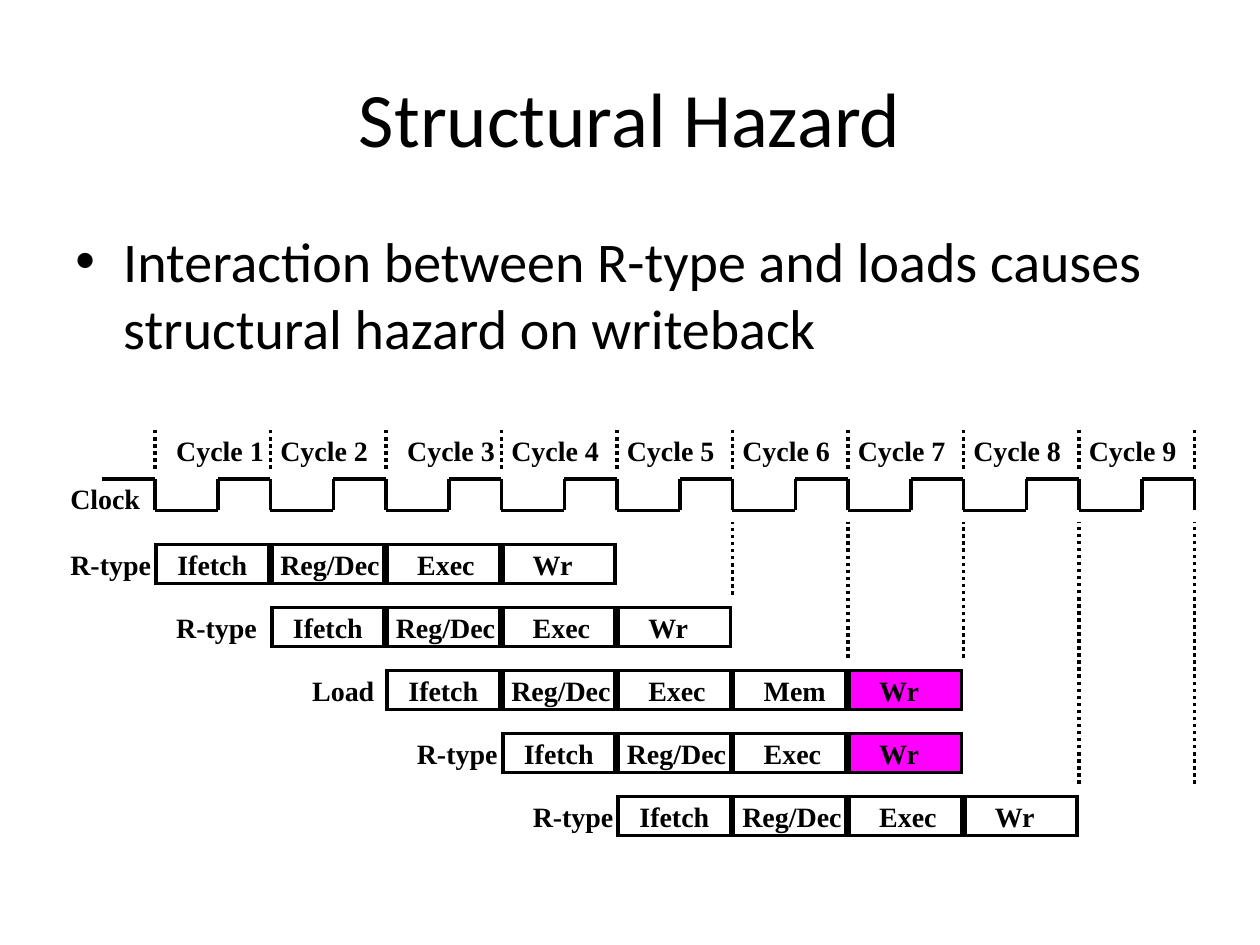
from dataclasses import dataclass
from itertools import pairwise

from lxml import etree
from pptx import Presentation
from pptx.dml.color import RGBColor
from pptx.enum.dml import MSO_LINE
from pptx.enum.shapes import MSO_CONNECTOR, MSO_SHAPE
from pptx.enum.text import MSO_ANCHOR, MSO_AUTO_SIZE, PP_ALIGN
from pptx.oxml.ns import qn
from pptx.util import Inches, Pt

STRAIGHT = MSO_CONNECTOR.STRAIGHT
RECTANGLE = MSO_SHAPE.RECTANGLE
DOTTED = MSO_LINE.ROUND_DOT
MIDDLE = MSO_ANCHOR.MIDDLE
CENTER = PP_ALIGN.CENTER
LEFT = PP_ALIGN.LEFT
GROW = MSO_AUTO_SIZE.SHAPE_TO_FIT_TEXT
FIXED = MSO_AUTO_SIZE.NONE


@dataclass(frozen=True)
class Theme:
    ink: RGBColor = RGBColor(0, 0, 0)
    conflict: RGBColor = RGBColor(0xFF, 0, 0xFF)
    text_font: str = "Calibri"
    diagram_font: str = "Times New Roman"
    title_size: int = 44
    body_size: int = 32
    label_size: int = 16
    line_width: int = 2


THEME = Theme()

TITLE = "Structural Hazard"
BULLET = "Interaction between R-type and loads causes structural hazard on writeback"
R_STAGES = ["Ifetch", "Reg/Dec", "Exec", "Wr"]
LOAD_STAGES = ["Ifetch", "Reg/Dec", "Exec", "Mem", "Wr"]
# Instruction, left edge of its label, stages; each starts one cycle later.
INSTRUCTIONS = [
    ("R-type", 0.46, R_STAGES),
    ("R-type", 1.30, R_STAGES),
    ("Load", 2.38, LOAD_STAGES),
    ("R-type", 3.21, R_STAGES),
    ("R-type", 4.13, R_STAGES),
]
CONFLICT_CYCLE = 6
# Cycle boundary: bottom of its dotted guide below the clock.
GUIDE_BOTTOMS = {5: 4.72, 6: 5.22, 7: 5.22, 8: 6.22, 9: 6.22}
LABEL_WIDTHS = {"Clock": 0.77, "Ifetch": 0.77, "Reg/Dec": 0.99, "Exec": 0.67,
                "Mem": 0.7, "Wr": 0.53, "R-type": 0.85, "Load": 0.7}
CYCLE_LABEL_WIDTH = 0.9
STAGE_OFFSETS = {"Ifetch": 0.08, "Reg/Dec": -0.02}
OTHER_STAGE_OFFSET = 0.15

CYCLES = 9
CLOCK_LEFT, CLOCK_RIGHT = 1.23, 9.48
PITCH = (CLOCK_RIGHT - CLOCK_LEFT) / CYCLES
CLOCK_HIGH, CLOCK_LOW, LOW_TIME = 3.8, 4.05, 0.5
GUIDE_TOP, GUIDE_END, LOWER_GUIDE_TOP = 3.39, 3.72, 4.14
ROW_TOP, ROW_PITCH = 4.3, 0.5
STAGE_WIDTH, STAGE_HEIGHT = 0.89, 0.31
LABEL_HEIGHT = 0.36


def boundary(cycle):
    """Left edge of a cycle counted from zero."""
    return CLOCK_LEFT + cycle * PITCH


def style_font(font, name, size, bold=False):
    font.name = name
    font.size = Pt(size)
    font.bold = bold
    font.color.rgb = THEME.ink


def style_line(line, dash=None):
    """Give a line its colour, width, dash and sharp corners."""
    line.color.rgb = THEME.ink
    line.width = Pt(THEME.line_width)
    if dash is not None:
        line.dash_style = dash
    etree.SubElement(line._get_or_add_ln(), qn("a:miter"), lim="800000")


def place(shape, left, top, width, height):
    shape.left, shape.top = Inches(left), Inches(top)
    shape.width, shape.height = Inches(width), Inches(height)


def add_line(slide, start, end, dash=None):
    ends = [Inches(value) for value in (*start, *end)]
    connector = slide.shapes.add_connector(STRAIGHT, *ends)
    style_line(connector.line, dash)
    etree.SubElement(connector._element.spPr, qn("a:effectLst"))


def add_label(slide, text, left, top, width):
    box = slide.shapes.add_textbox(
        Inches(left), Inches(top), Inches(width), Inches(LABEL_HEIGHT))
    frame = box.text_frame
    frame.word_wrap = False
    frame.auto_size = GROW
    frame.text = text
    style_font(frame.paragraphs[0].font, THEME.diagram_font, THEME.label_size, True)


def add_stage(slide, name, cycle, top):
    left = boundary(cycle)
    box = slide.shapes.add_shape(
        RECTANGLE, Inches(left + 0.01), Inches(top + 0.02),
        Inches(STAGE_WIDTH), Inches(STAGE_HEIGHT))
    box.shadow.inherit = False
    style_line(box.line)
    if name == "Wr" and cycle == CONFLICT_CYCLE:
        box.fill.solid()
        box.fill.fore_color.rgb = THEME.conflict
    else:
        box.fill.background()
    offset = STAGE_OFFSETS.get(name, OTHER_STAGE_OFFSET)
    add_label(slide, name, left + offset, top, LABEL_WIDTHS[name])


def add_heading(slide):
    title = slide.shapes.title
    place(title, 0.5, 0.3, 9, 1.25)
    frame = title.text_frame
    frame.text = TITLE
    frame.vertical_anchor = MIDDLE
    frame.paragraphs[0].alignment = CENTER
    style_font(frame.paragraphs[0].font, THEME.text_font, THEME.title_size)


def add_body(slide):
    box = slide.shapes.add_textbox(Inches(0.5), Inches(1.75), Inches(9), Inches(1.5))
    frame = box.text_frame
    frame.word_wrap = True
    frame.auto_size = FIXED
    frame.text = BULLET
    para = frame.paragraphs[0]
    para.alignment = LEFT
    para.space_before = Pt(6.4)
    style_font(para.font, THEME.text_font, THEME.body_size)
    properties = para._p.get_or_add_pPr()
    properties.set("marL", str(Inches(0.38)))
    properties.set("indent", str(Inches(-0.38)))
    font = etree.Element(qn("a:buFont"), typeface="Arial")
    mark = etree.Element(qn("a:buChar"), char="•")
    properties.find(qn("a:spcBef")).addnext(font)
    font.addnext(mark)


def add_clock(slide):
    add_label(slide, "Clock", 0.46, 3.77, LABEL_WIDTHS["Clock"])
    points = [(0.81, CLOCK_HIGH)]
    for cycle in range(CYCLES):
        fall = boundary(cycle)
        rise = fall + LOW_TIME
        points += [(fall, CLOCK_HIGH), (fall, CLOCK_LOW),
                   (rise, CLOCK_LOW), (rise, CLOCK_HIGH)]
    points += [(CLOCK_RIGHT, CLOCK_HIGH), (CLOCK_RIGHT, CLOCK_LOW)]
    for start, end in pairwise(points):
        add_line(slide, start, end)


def add_cycles(slide):
    for cycle in range(CYCLES + 1):
        left = boundary(cycle)
        add_line(slide, (left, GUIDE_END), (left, GUIDE_TOP), DOTTED)
        if cycle < CYCLES:
            offset = 0.07 if cycle in (0, 2) else -0.02
            add_label(slide, f"Cycle {cycle + 1}", left + offset, GUIDE_TOP,
                      CYCLE_LABEL_WIDTH)
    for cycle, bottom in GUIDE_BOTTOMS.items():
        left = boundary(cycle)
        add_line(slide, (left, bottom), (left, LOWER_GUIDE_TOP), DOTTED)


def add_pipeline(slide):
    for row, (name, label_left, stages) in enumerate(INSTRUCTIONS):
        top = ROW_TOP + row * ROW_PITCH
        for step, stage in enumerate(stages):
            add_stage(slide, stage, row + step, top)
        add_label(slide, name, label_left, top, LABEL_WIDTHS[name])


def main():
    deck = Presentation()
    deck.slide_width, deck.slide_height = Inches(10), Inches(7.5)
    slide = deck.slides.add_slide(deck.slide_layouts[5])
    add_heading(slide)
    add_body(slide)
    add_clock(slide)
    add_cycles(slide)
    add_pipeline(slide)
    deck.save("out.pptx")


if __name__ == "__main__":
    main()
